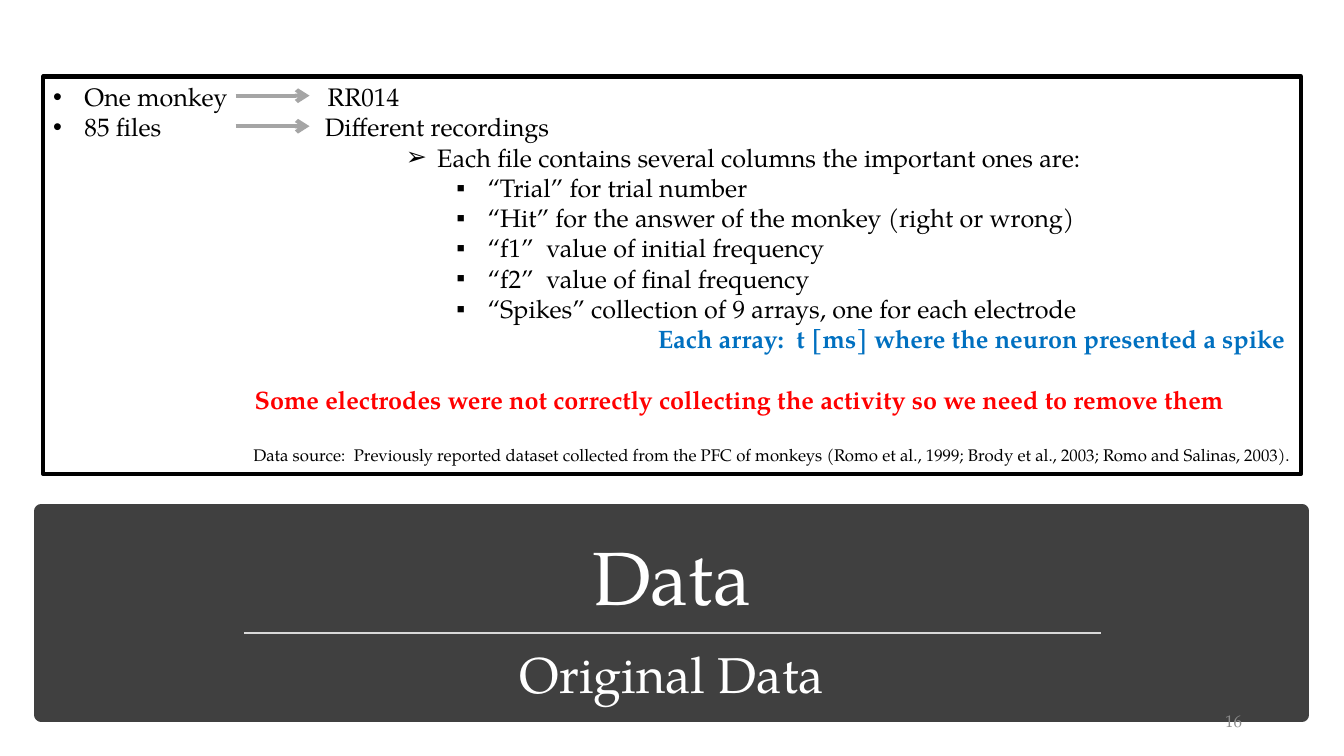
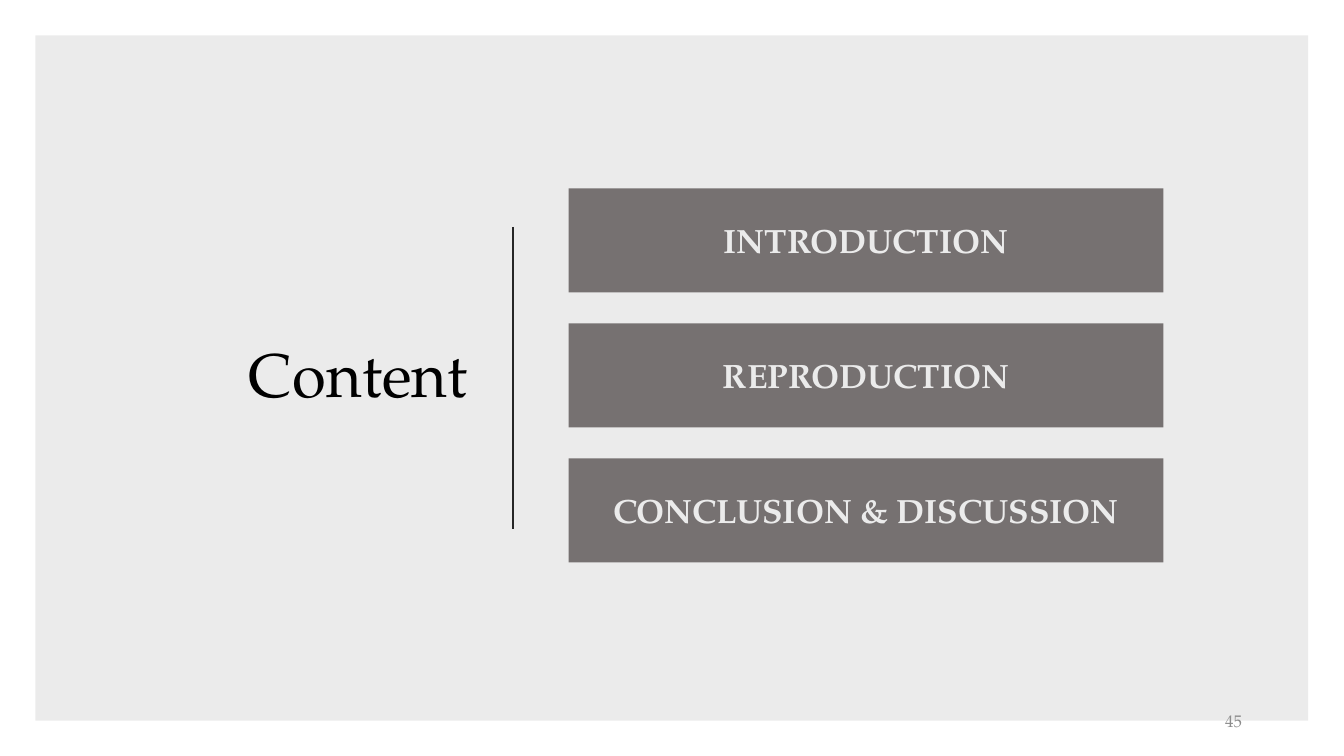
import pptx
import pptx.util
import pptx.dml.color
import pptx.enum.shapes
import pptx.enum.text
import pptx.oxml.ns
import lxml.etree

Cm = pptx.util.Cm
Pt = pptx.util.Pt
RGBColor = pptx.dml.color.RGBColor
Align = pptx.enum.text.PP_ALIGN
Anchor = pptx.enum.text.MSO_ANCHOR

FONT = "TeX Gyre Pagella"
BLACK = RGBColor(0x00, 0x00, 0x00)
WHITE = RGBColor(0xFF, 0xFF, 0xFF)
DARK = RGBColor(0x40, 0x40, 0x40)
INK = RGBColor(0x26, 0x26, 0x26)
RULE = RGBColor(0xD9, 0xD9, 0xD9)
ARROW = RGBColor(0xA5, 0xA5, 0xA5)
BAR = RGBColor(0x76, 0x71, 0x71)
PALE = RGBColor(0xEB, 0xEB, 0xEB)
GREY = RGBColor(0x8C, 0x8C, 0x8C)
BLUE = RGBColor(0x00, 0x70, 0xC0)
RED = RGBColor(0xFF, 0x00, 0x00)

HANG = 0.79
GAP = 21.6


def add_xml(parent, tag, **attrs):
    node = lxml.etree.SubElement(parent, pptx.oxml.ns.qn(tag))
    for key, value in attrs.items():
        node.set(key, str(value))
    return node


def add_rect(slide, left, top, width, height, fill=None, edge=None, weight=0):
    kind = pptx.enum.shapes.MSO_SHAPE.RECTANGLE
    rect = slide.shapes.add_shape(kind, Cm(left), Cm(top), Cm(width), Cm(height))
    rect.shadow.inherit = False
    if fill is None:
        rect.fill.background()
    else:
        rect.fill.solid()
        rect.fill.fore_color.rgb = fill
    if edge is None:
        rect.line.fill.background()
    else:
        rect.line.color.rgb = edge
        rect.line.width = Pt(weight)
    return rect


def add_line(slide, x1, y1, x2, y2, color, weight, arrow=False):
    kind = pptx.enum.shapes.MSO_CONNECTOR.STRAIGHT
    line = slide.shapes.add_connector(kind, Cm(x1), Cm(y1), Cm(x2), Cm(y2))
    line.line.color.rgb = color
    line.line.width = Pt(weight)
    props = line.element.spPr
    if arrow:
        add_xml(props.get_or_add_ln(), "a:tailEnd", type="arrow")
    add_xml(props, "a:effectLst")


def add_run(para, text, size, color, bold=False):
    run = para.add_run()
    run.text = text
    run.font.name = FONT
    run.font.size = Pt(size)
    run.font.bold = bold
    run.font.color.rgb = color


def set_text(shape, text, size, color, align, anchor, bold=False, lead=None):
    """Fill a shape with one line of text."""
    frame = shape.text_frame
    frame.word_wrap = True
    frame.vertical_anchor = anchor
    para = frame.paragraphs[0]
    para.alignment = align
    if lead:
        para.line_spacing = lead
    add_run(para, text, size, color, bold)


def add_text(slide, left, top, width, height, *args, **style):
    box = slide.shapes.add_textbox(Cm(left), Cm(top), Cm(width), Cm(height))
    set_text(box, *args, **style)


def add_title(slide, area, text, size, color, align, anchor):
    add_text(slide, *area, text, size, color, align, anchor, lead=0.9)


def add_page(slide, number):
    add_text(slide, 23.93, 17.65, 7.62, 1.02, number, 12, GREY,
             Align.RIGHT, Anchor.MIDDLE)


def add_item(frame, text, left, bullet=None, tab=None, size=18, color=BLACK,
             bold=False, align=Align.LEFT, before=0):
    """Add a paragraph; left is where its text starts, tab its tab stop."""
    para = frame.paragraphs[0]
    if para.runs:
        para = frame.add_paragraph()
    props = para._p.get_or_add_pPr()
    props.set("marL", str(int(Cm(left))))
    props.set("indent", str(int(Cm(-HANG if bullet else 0))))
    if bullet:
        add_xml(props, "a:buFont", typeface="Arial")
        add_xml(props, "a:buChar", char=bullet)
    else:
        add_xml(props, "a:buNone")
    if tab:
        stops = add_xml(props, "a:tabLst")
        add_xml(stops, "a:tab", pos=int(Cm(tab)), algn="l")
    para.alignment = align
    if before:
        para.space_before = Pt(before)
    add_run(para, text, size, color, bold)


def add_data(slide):
    add_rect(slide, 1.04, 12.88, 31.78, 5.13, DARK, DARK, 10)
    add_line(slide, 6.15, 15.95, 27.74, 15.95, RULE, 1.75)
    for top, text, size in ((13.21, "Data", 54), (15.29, "Original Data", 36)):
        add_title(slide, (1.46, top, 30.94, 2.59), text, size, WHITE,
                  Align.CENTER, Anchor.BOTTOM)
    add_page(slide, "16")

    frame = add_rect(slide, 1.09, 1.93, 31.7, 10.01, None, BLACK, 3).text_frame
    frame.word_wrap = True
    frame.vertical_anchor = Anchor.TOP
    add_item(frame, "One monkey\tRR014", HANG, "•", tab=6.92)
    add_item(frame, "85 files\tDifferent recordings", HANG, "•", tab=6.85)
    add_item(frame, "Each file contains several columns the important ones are:",
             9.68, "➢")
    for text in (
        "“Trial” for trial number",
        "“Hit” for the answer of the monkey (right or wrong)",
        "“f1”  value of initial frequency",
        "“f2”  value of final frequency",
        "“Spikes” collection of 9 arrays, one for each electrode",
    ):
        add_item(frame, text, 10.95, "▪")
    add_item(frame, "Each array:  t [ms] where the neuron presented a spike",
             15.24, color=BLUE, bold=True)
    add_item(frame, "Some electrodes were not correctly collecting the activity "
             "so we need to remove them", 5.08, color=RED, bold=True, before=GAP)
    add_item(frame, "Data source:  Previously reported dataset collected from the "
             "PFC of monkeys (Romo et al., 1999; Brody et al., 2003; "
             "Romo and Salinas, 2003).", 2.54, size=12, align=Align.RIGHT, before=GAP)
    for y in (2.41, 3.18):
        add_line(slide, 5.94, y, 7.8, y, ARROW, 3, arrow=True)


def add_content(slide):
    panel = add_rect(slide, 0.89, 0.89, 32.08, 17.27, BLACK)
    tint = panel.element.spPr.find(".//" + pptx.oxml.ns.qn("a:srgbClr"))
    add_xml(tint, "a:alpha", val=8000)
    add_title(slide, (2.34, 2.67, 9.7, 13.69), "Content", 44, BLACK,
              Align.RIGHT, Anchor.MIDDLE)
    add_line(slide, 12.93, 5.72, 12.93, 13.34, INK, 1.5)
    names = "INTRODUCTION", "REPRODUCTION", "CONCLUSION & DISCUSSION"
    for row, name in enumerate(names):
        bar = add_rect(slide, 14.33, 4.75 + 3.4 * row, 14.99, 2.62, BAR)
        set_text(bar, name, 24, PALE, Align.CENTER, Anchor.MIDDLE, bold=True)
    add_page(slide, "45")


def main():
    deck = pptx.Presentation()
    deck.slide_width = Cm(33.87)
    deck.slide_height = Cm(19.05)
    for build in (add_data, add_content):
        build(deck.slides.add_slide(deck.slide_layouts[6]))
    deck.save("out.pptx")


if __name__ == "__main__":
    main()
